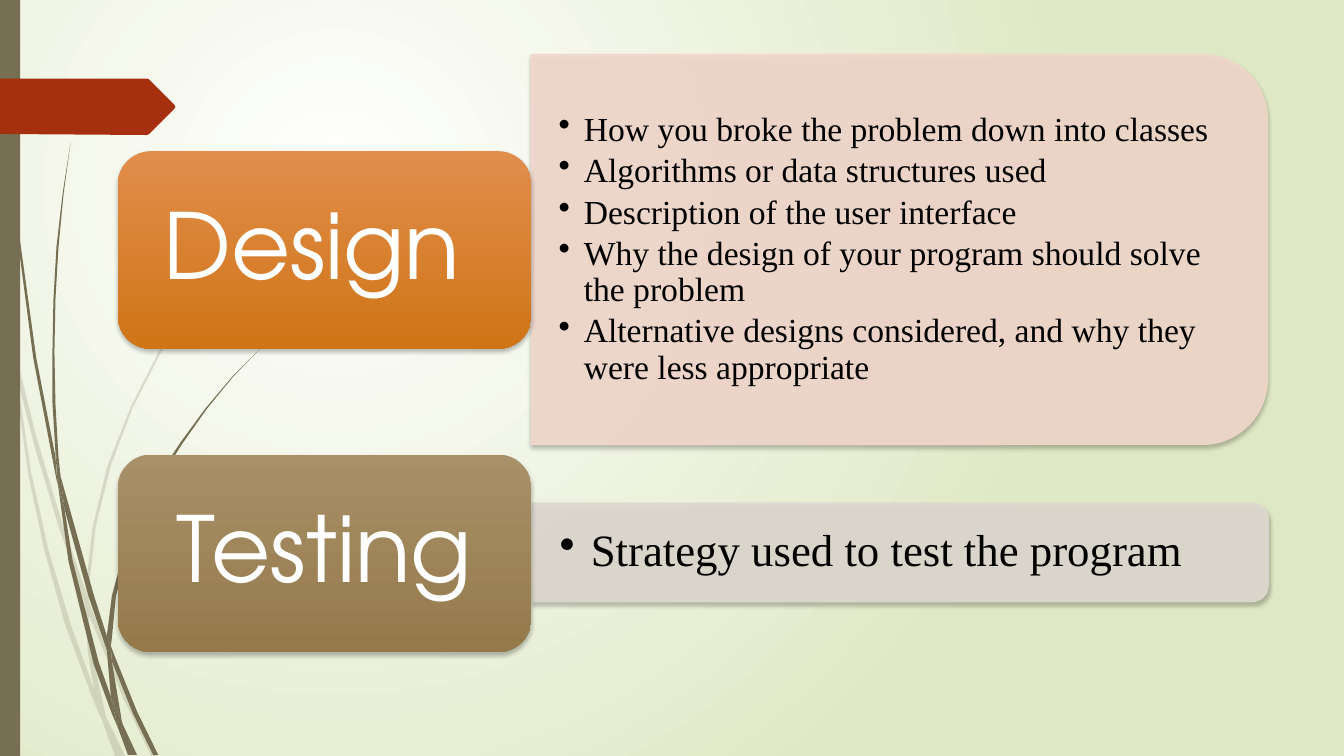
"""Build the report-outline slide: Design and Testing labels with their bullet panels."""
from dataclasses import dataclass

from lxml import etree
from pptx import Presentation
from pptx import util as u
from pptx.dml.color import RGBColor
from pptx.enum import shapes, text
from pptx.oxml import ns


@dataclass(frozen=True)
class Theme:
    paper: tuple = ("FFFFFF", "DFE8C4")
    stem: str = "766F54"
    arrow: str = "A53010"
    design: tuple = ("E18D4C", "CF7516")
    design_panel: str = "F2D8CC"
    testing: tuple = ("A89068", "947A4B")
    testing_panel: str = "DFD9D0"
    ink: str = "000000"
    label_ink: str = "FFFFFF"
    label_font: str = "TeX Gyre Adventor"
    body_font: str = "Times New Roman"
    label_size: int = 65
    design_size: int = 24
    testing_size: int = 32


THEME = Theme()
SLIDE_WIDTH, SLIDE_HEIGHT = 13.33, 7.5
PANEL_WIDTH, LABEL_LEFT, LABEL_WIDTH, LABEL_HEIGHT = 7.3, 1.17, 4.1, 1.96
CORNER_INSET = 0.29 / 6

PALE_STEMS = (
    ".11 3.5 .09 3.22 0 2.82 0 2.99 .1 3.44",
    ".58 5.22 .84 5.99 .85 5.86 .62 5.2 .36 4.33 .14 3.45 .17 3.76 .36 4.49",
    ".92 6.07 .88 5.96 .88 6.1 1.23 6.94 1.5 7.5 1.55 7.5 1.27 6.92",
    ".93 6.83 .7 6.19 .48 5.45 .31 4.69 .17 3.76 .11 3.5 .28 4.7 .44 5.46 .65 6.21 .92 6.93 1.01 7.14",
    ".84 5.99 .87 6.46 .93 6.83 1.05 7.11 .91 6.46 .88 6.1 .88 5.96 .85 5.86",
    ".88 5.84 .95 5.22 1.1 4.62 1.32 4.04 1.6 3.49 1.92 2.96 2.29 2.45 2.68 1.98 2.9 1.75 3.12 1.53"
    " 2.89 1.75 2.68 1.97 2.28 2.44 1.91 2.94 1.58 3.48 1.3 4.03 1.07 4.61 .92 5.22 .85 5.84 .88 5.96",
    ".93 6.83 1.05 7.11 1.24 7.5 1.14 7.5 1.01 7.14",
)
DARK_STEMS = (
    ".07 1.1 .17 2.33 .33 3.55 .57 4.81 .55 4.53 .36 3.55 .19 2.32 .08 1.09 .04 0 .03 0 .04 .48",
    ".88 5.92 1.06 6.45 1.06 6.31 .93 5.9 .6 4.72 .64 5.05",
    "1.13 6.49 1.1 6.41 1.11 6.56 1.32 7.08 1.52 7.49 1.57 7.49 1.36 7.06",
    "1.1 6.91 .98 6.57 .72 5.56 .64 5.05 .57 4.77 .68 5.57 .93 6.59 1.11 7.08 1.17 7.22",
    ".6 4.72 .58 4.53 .55 4.01 .54 3.49 .55 2.97 .58 2.45 .63 1.93 .7 1.41"
    " .62 1.93 .56 2.45 .53 2.97 .52 3.49 .52 3.99 .55 4.49",
    ".57 4.77 .64 5.05 .6 4.72 .55 4.49",
    "1.11 6.33 1.15 5.92 1.25 5.52 1.4 5.13 1.58 4.76 1.81 4.4 2.05 4.06 2.31 3.74 2.6 3.44"
    " 2.31 3.73 2.04 4.05 1.79 4.39 1.56 4.74 1.37 5.12 1.22 5.51 1.11 5.91 1.06 6.31 1.1 6.41",
    "1.06 6.31 1.1 6.41 1.11 6.56 1.21 7.16 1.22 7.19 1.1 6.91 1.06 6.45",
    "1.1 6.91 1.22 7.19 1.36 7.49 1.27 7.49 1.17 7.22",
)
ARROW = "0 .78 1.46 .78 1.48 .79 1.73 1.04 1.74 1.06 1.73 1.08 1.48 1.33 1.46 1.34 0 1.33"
DESIGN_POINTS = (
    "How you broke the problem down into classes",
    "Algorithms or data structures used",
    "Description of the user interface",
    "Why the design of your program should solve the problem",
    "Alternative designs considered, and why they were less appropriate",
)
TESTING_POINTS = ("Strategy used to test the program",)


def inches(*lengths):
    return [u.Inches(length) for length in lengths]


def add_xml(parent, tag, **attributes):
    child = etree.SubElement(parent, ns.qn(tag))
    for key, value in attributes.items():
        child.set(key, str(value))
    return child


def paint(fill, colour, opacity=100):
    fill.solid()
    fill.fore_color.rgb = RGBColor.from_string(colour)
    if opacity < 100:
        srgb = next(fill._xPr.iter(ns.qn("a:srgbClr")))
        add_xml(srgb, "a:alpha", val=opacity * 1000)


def paint_gradient(fill, colours):
    fill.gradient()
    for position, (stop, colour) in enumerate(zip(fill.gradient_stops, colours)):
        stop.position = position
        stop.color.rgb = RGBColor.from_string(colour)


def paint_background(slide):
    paint_gradient(slide.background.fill, THEME.paper)
    gradient = next(slide._element.iter(ns.qn("a:gradFill")))
    gradient.remove(gradient.find(ns.qn("a:lin")))
    glow = add_xml(gradient, "a:path", path="circle")
    add_xml(glow, "a:fillToRect", l=50000, t=50000, r=100000, b=100000)


def add_shadow(shape):
    shape.shadow.inherit = False
    effects = shape._element.spPr.find(ns.qn("a:effectLst"))
    shadow = add_xml(effects, "a:outerShdw", blurRad=u.Pt(3), dist=u.Pt(2),
                     dir=5400000, rotWithShape=0)
    add_xml(add_xml(shadow, "a:srgbClr", val=THEME.ink), "a:alpha", val=25000)


def add_outline(slide, numbers, colour, opacity=100):
    lengths = inches(*map(float, numbers.split()))
    corners = list(zip(lengths[::2], lengths[1::2]))
    builder = slide.shapes.build_freeform(*corners[0])
    builder.add_line_segments(corners[1:], close=True)
    outline = builder.convert_to_shape()
    outline.shadow.inherit = False
    outline.line.fill.background()
    paint(outline.fill, colour, opacity)


def write_lines(frame, lines, size, font, colour, space_after):
    frame.word_wrap = True
    frame.vertical_anchor = text.MSO_ANCHOR.MIDDLE
    frame.margin_left = frame.margin_right = u.Inches(0.27)
    frame.margin_top = frame.margin_bottom = u.Inches(0.14)
    frame.text = "\n".join(lines)
    for paragraph in frame.paragraphs:
        paragraph.line_spacing = 0.9
        paragraph.space_after = u.Pt(size * space_after)
        for run in paragraph.runs:
            run.font.size, run.font.name = u.Pt(size), font
            run.font.color.rgb = RGBColor.from_string(colour)


def add_panel(slide, left, top, height, colour, points, size, indent):
    side = (PANEL_WIDTH - height) / 2
    panel = slide.shapes.add_shape(shapes.MSO_SHAPE.ROUND_2_SAME_RECTANGLE,
                                   *inches(left + side, top - side, height, PANEL_WIDTH))
    panel.rotation = 90
    paint(panel.fill, colour, 90)
    paint(panel.line.fill, colour, 90)
    panel.line.width = u.Pt(0.75)
    add_shadow(panel)
    inset = height * CORNER_INSET
    body = slide.shapes.add_textbox(
        *inches(left, top + inset, PANEL_WIDTH - inset, height - 2 * inset))
    write_lines(body.text_frame, points, size, THEME.body_font, THEME.ink, 0.15)
    for paragraph in body.text_frame.paragraphs:
        paragraph.level = 1
        properties = paragraph._p.get_or_add_pPr()
        properties.set("marL", str(u.Inches(indent)))
        properties.set("indent", str(-u.Inches(indent)))
        add_xml(properties, "a:buChar", char="•")


def add_label(slide, top, colours, caption):
    label = slide.shapes.add_shape(shapes.MSO_SHAPE.ROUNDED_RECTANGLE,
                                   *inches(LABEL_LEFT, top, LABEL_WIDTH, LABEL_HEIGHT))
    paint_gradient(label.fill, colours)
    label.fill.gradient_angle = 270
    label.line.fill.background()
    add_shadow(label)
    write_lines(label.text_frame, [caption], THEME.label_size, THEME.label_font,
                THEME.label_ink, 0.35)
    label.text_frame.paragraphs[0].alignment = text.PP_ALIGN.CENTER


def main():
    deck = Presentation()
    deck.slide_width, deck.slide_height = inches(SLIDE_WIDTH, SLIDE_HEIGHT)
    slide = deck.slides.add_slide(deck.slide_layouts[6])
    paint_background(slide)
    for stems, opacity in ((PALE_STEMS, 20), (DARK_STEMS, 100)):
        for stem in stems:
            add_outline(slide, stem, THEME.stem, opacity)
    edge = slide.shapes.add_shape(shapes.MSO_SHAPE.RECTANGLE, *inches(0, 0, 0.2, SLIDE_HEIGHT))
    edge.shadow.inherit = False
    edge.line.fill.background()
    paint(edge.fill, THEME.stem)
    add_outline(slide, ARROW, THEME.arrow)
    add_panel(slide, 5.27, 0.54, 3.87, THEME.design_panel, DESIGN_POINTS, THEME.design_size, 0.25)
    add_label(slide, 1.5, THEME.design, "Design ")
    add_panel(slide, 5.28, 4.99, 0.98, THEME.testing_panel, TESTING_POINTS, THEME.testing_size, 0.31)
    add_label(slide, 4.51, THEME.testing, "Testing")
    deck.save("out.pptx")


if __name__ == "__main__":
    main()
